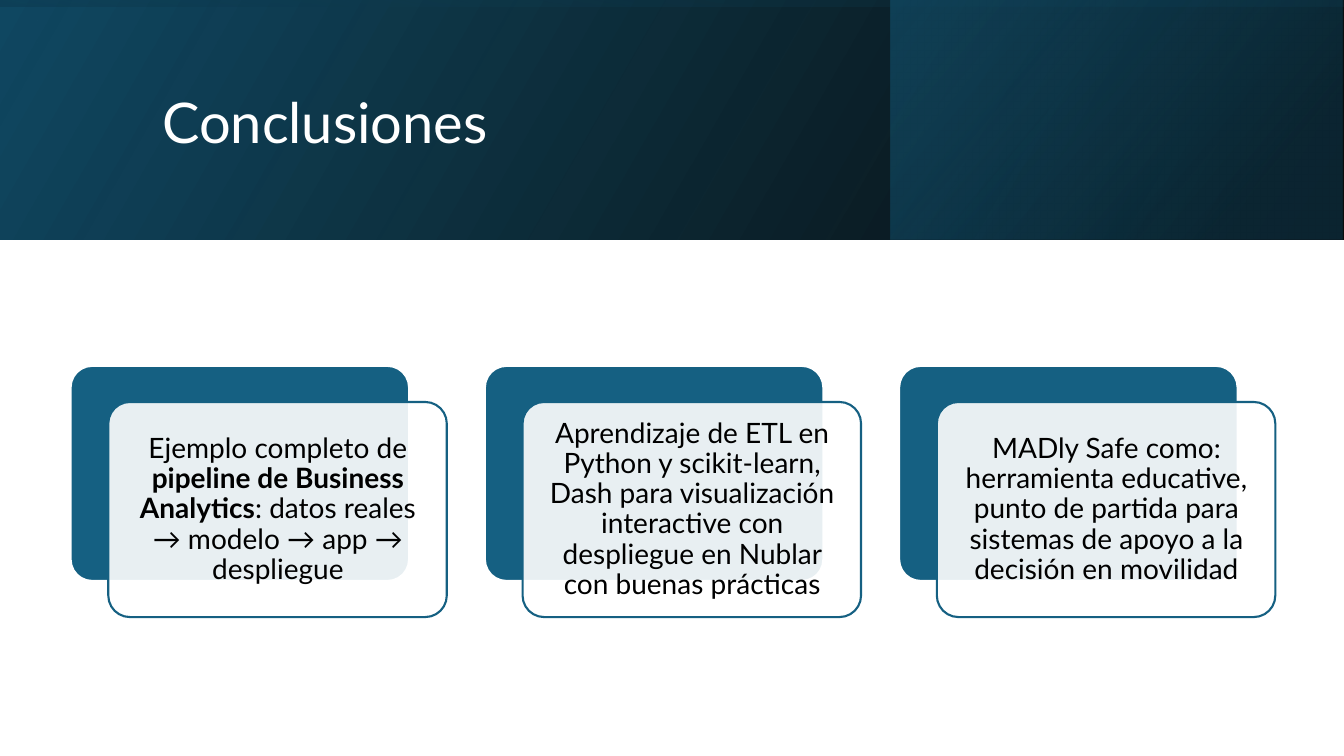
"""Build the slide of conclusions with three layered cards."""
from pptx import Presentation
from pptx.dml.color import RGBColor
from pptx.enum.shapes import MSO_SHAPE as Form
from pptx.enum.text import MSO_ANCHOR as Anchor, MSO_AUTO_SIZE as Auto, PP_ALIGN as Align
from pptx.oxml.ns import qn
from pptx.oxml.xmlchemy import OxmlElement as Node
from pptx.util import Cm, Pt

WHITE = RGBColor(0xFF, 0xFF, 0xFF)
BLACK = RGBColor(0x00, 0x00, 0x00)
BLUE = RGBColor(0x15, 0x60, 0x82)
NAVY = RGBColor(0x10, 0x48, 0x62)
DEEP = RGBColor(0x0B, 0x30, 0x41)


def fade(shape, *levels):
    for color, level in zip(shape._element.spPr.iter(qn("a:srgbClr")), levels):
        alpha = Node("a:alpha")
        alpha.set("val", str(level * 1000))
        color.append(alpha)


def write(shape, runs, size=20, color=BLACK, align=Align.CENTER, inset=0.2):
    frame = shape.text_frame
    frame.auto_size = Auto.NONE
    frame.word_wrap = True
    frame.vertical_anchor = Anchor.MIDDLE
    frame.margin_left = frame.margin_right = Cm(inset)
    frame.margin_top = frame.margin_bottom = Cm(0.2)
    para = frame.paragraphs[0]
    para.alignment = align
    para.line_spacing = 0.9
    for text, bold in runs:
        run = para.add_run()
        run.text = text
        font = run.font
        font.name, font.size, font.bold = "Lato", Pt(size), bold
        font.color.rgb = color


deck = Presentation()
deck.slide_width, deck.slide_height = Cm(33.87), Cm(19.05)
slide = deck.slides.add_slide(deck.slide_layouts[5])
shapes = slide.shapes

bands = [
    ((0, 0, 33.87, 6.03), 0, 330, [(0, BLACK, 96), (1, NAVY, 100)]),
    ((22.45, 0, 11.39, 6.03), 0, 320, [(0.19, DEEP, 68), (1, BLUE, 48)]),
    ((13.92, -13.92, 6.03, 33.87), 270, 350, [(0.23, NAVY, 16), (0.99, BLACK, 45)]),
]
for place, turn, angle, stops in bands:
    band = shapes.add_shape(Form.RECTANGLE, *map(Cm, place))
    band.shadow.inherit = False
    band.rotation = turn
    band._element.spPr.xfrm.set("flipH", "1")
    band.line.fill.background()
    band.fill.gradient()
    band.fill.gradient_angle = 360 - angle
    for stop, (spot, color, level) in zip(band.fill.gradient_stops, stops):
        stop.position = spot
        stop.color.rgb = color
    fade(band, *[level for spot, color, level in stops])

title = shapes.title
title.left, title.top, title.width, title.height = map(Cm, (3.84, 0.97, 27, 4.37))
write(title, [("Conclusiones", False)], size=40, color=WHITE, align=Align.LEFT, inset=0.25)
shapes._spTree.append(title._element)

cards = [
    [("Ejemplo completo de ", False), ("pipeline de Business Analytics", True),
     (": datos reales → modelo → app → despliegue", False)],
    [("Aprendizaje de ETL en Python y scikit-learn, Dash para visualización "
      "interactive con despliegue en Nublar con buenas prácticas", False)],
    [("MADly Safe como: herramienta educative, punto de partida para "
      "sistemas de apoyo a la decisión en movilidad", False)],
]
for col, runs in enumerate(cards):
    left, top = 1.78 + col * 10.44, 9.22
    for dx, dy, fill, edge, level in [(0, 0, BLUE, WHITE, 100), (0.95, 0.91, WHITE, BLUE, 90)]:
        card = shapes.add_shape(Form.ROUNDED_RECTANGLE, Cm(left + dx), Cm(top + dy), Cm(8.53), Cm(5.42))
        card.shadow.inherit = False
        card.adjustments[0] = 0.1
        card.fill.solid()
        card.fill.fore_color.rgb = fill
        fade(card, level)
        card.line.color.rgb = edge
        card.line.width = Pt(1.5)
    label = shapes.add_textbox(Cm(left + 1.11), Cm(top + 1.07), Cm(8.23), Cm(5.11))
    write(label, runs)

deck.save("out.pptx")
